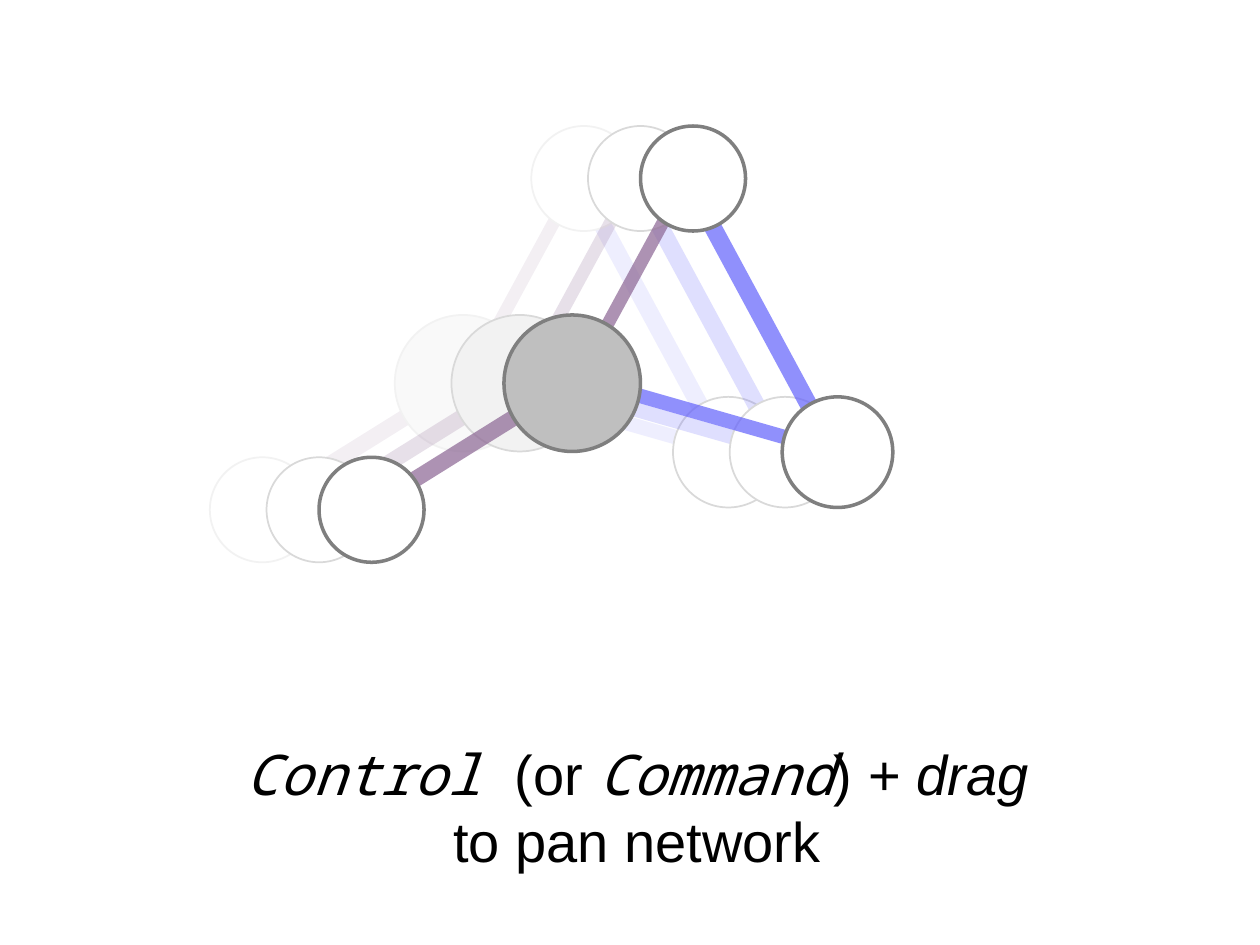
from lxml import etree
from pptx import Presentation
from pptx.dml import color
from pptx.enum import shapes, text
from pptx.oxml import ns
from pptx.util import Pt

BLUE, PLUM = "6261FC", "8B6593"
MONO, SANS = "Noto Sans Mono", "Arial"

EDGES = [
    ((476.4, 257.8), (392.4, 102.2), BLUE, 10),
    ((476.4, 257.8), (330, 216), BLUE, 8.25),
    ((327.4, 221.8), (392.4, 102.2), PLUM, 7.25),
    ((330, 216), (212.3, 289.4), PLUM, 9.25),
]
NODES = {
    "hub": (288, 180, 78),
    "right": (447, 226.8, 63.2),
    "top": (366, 72, 60),
    "left": (182.3, 261.3, 60),
}
STAGES = [
    dict(shift=-62.4, alpha=10, hub="F9F9F9", ring="F2F2F2", right="D9D9D9", width=1, group=False),
    dict(shift=-30, alpha=20, hub="F2F2F2", ring="D9D9D9", right="D9D9D9", width=1, group=True),
    dict(shift=0, alpha=70, hub="BFBFBF", ring="7F7F7F", right="7F7F7F", width=2, group=True),
]
CAPTION = [
    [
        ("Control ", MONO, True),
        ("(or ", SANS, False),
        ("Command", MONO, True),
        (") + ", SANS, False),
        ("drag", SANS, True),
    ],
    [("to pan network", SANS, False)],
]


def paint(fmt, code):
    fmt.solid()
    fmt.fore_color.rgb = color.RGBColor.from_string(code)


def apply(item, form):
    for key, value in form.items():
        setattr(item, key, value)


def add_edge(pool, start, end, code, width, shift, alpha):
    ends = (start[0] + shift, start[1], end[0] + shift, end[1])
    edge = pool.add_connector(shapes.MSO_CONNECTOR.STRAIGHT, *map(Pt, ends))
    edge.line.width = Pt(width)
    paint(edge.line.fill, code)
    props = edge._element.spPr
    tint = props.find(".//" + ns.qn("a:srgbClr"))
    etree.SubElement(tint, ns.qn("a:alpha")).set("val", str(alpha * 1000))
    etree.SubElement(props, ns.qn("a:effectLst"))


def add_node(pool, left, top, size, fill, ring, width):
    box = map(Pt, (left, top, size, size))
    node = pool.add_shape(shapes.MSO_SHAPE.OVAL, *box)
    node.shadow.inherit = False
    paint(node.fill, fill)
    paint(node.line.fill, ring)
    node.line.width = Pt(width)


def add_stage(slide, stage):
    pool = slide.shapes
    if stage["group"]:
        pool = pool.add_group_shape().shapes
    for edge in EDGES:
        add_edge(pool, *edge, stage["shift"], stage["alpha"])
    for name, (left, top, size) in NODES.items():
        fill = stage["hub"] if name == "hub" else "FFFFFF"
        ring = stage["right"] if name == "right" else stage["ring"]
        add_node(pool, left + stage["shift"], top, size, fill, ring, stage["width"])


def add_caption(slide):
    box = slide.shapes.add_textbox(*map(Pt, (131.8, 419, 464.4, 85)))
    frame = box.text_frame
    apply(frame, dict(word_wrap=True, auto_size=text.MSO_AUTO_SIZE.SHAPE_TO_FIT_TEXT))
    for i, runs in enumerate(CAPTION):
        para = frame.add_paragraph() if i else frame.paragraphs[0]
        para.alignment = text.PP_ALIGN.CENTER
        for words, face, slant in runs:
            run = para.add_run()
            run.text = words
            apply(run.font, dict(name=face, italic=slant, size=Pt(32)))
            paint(run.font.fill, "000000")


def main():
    deck = Presentation()
    apply(deck, dict(slide_width=Pt(720), slide_height=Pt(540)))
    slide = deck.slides.add_slide(deck.slide_layouts[6])
    for stage in STAGES:
        add_stage(slide, stage)
    add_caption(slide)
    deck.save("out.pptx")


if __name__ == "__main__":
    main()
